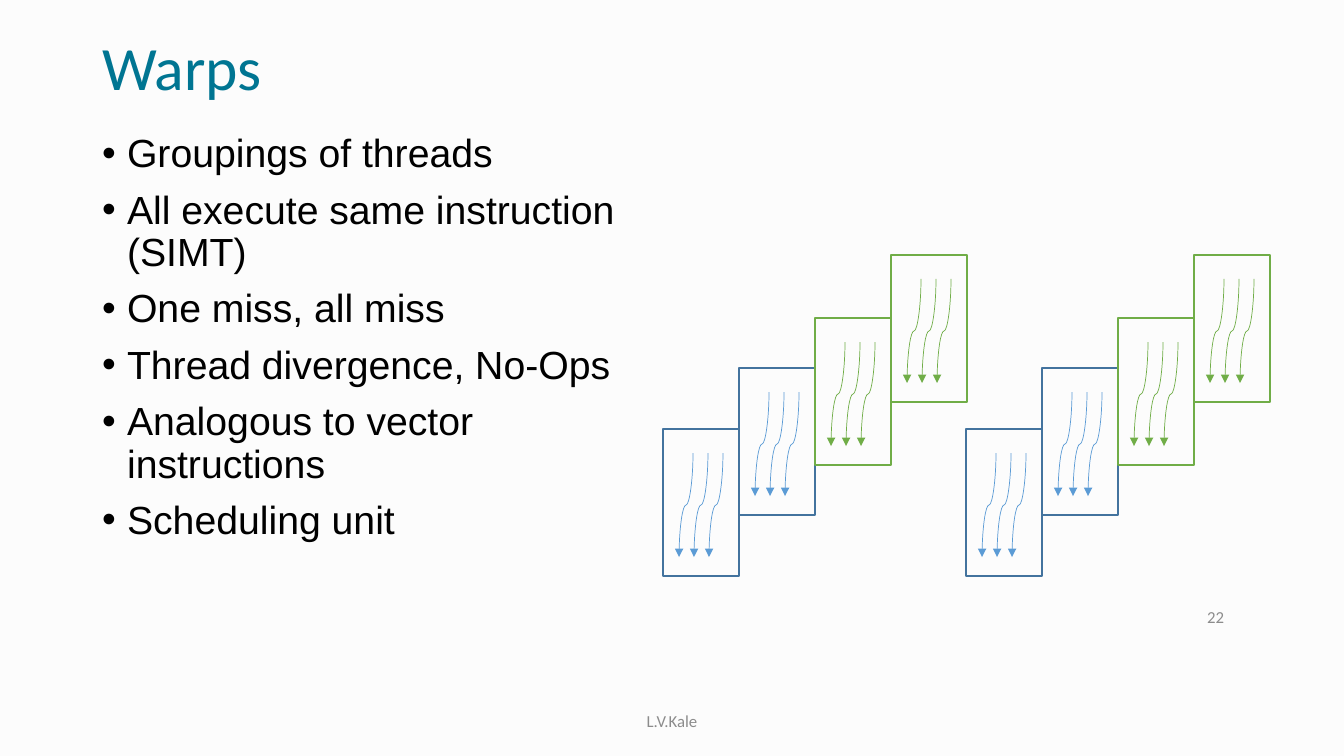
"""Build the slide on warps as groupings of threads."""
from lxml import etree
from pptx import Presentation
from pptx.dml.color import RGBColor
from pptx.enum.shapes import MSO_CONNECTOR, MSO_SHAPE
from pptx.enum.text import MSO_ANCHOR, MSO_AUTO_SIZE, PP_ALIGN
from pptx.oxml.ns import qn
from pptx.util import Pt

CURVE, RECTANGLE = MSO_CONNECTOR.CURVE, MSO_SHAPE.RECTANGLE
TOP, MIDDLE = MSO_ANCHOR.TOP, MSO_ANCHOR.MIDDLE
LEFT, CENTER, RIGHT = PP_ALIGN.LEFT, PP_ALIGN.CENTER, PP_ALIGN.RIGHT
NO_AUTOFIT = MSO_AUTO_SIZE.NONE

PAPER = RGBColor(0xFC, 0xFC, 0xFC)
TEAL = RGBColor(0x00, 0x75, 0x92)
BLACK = RGBColor(0x00, 0x00, 0x00)
GRAY = RGBColor(0x8C, 0x8C, 0x8C)
BLUE = RGBColor(0x5B, 0x9B, 0xD5)
DARK_BLUE = RGBColor(0x43, 0x73, 0x9E)
GREEN = RGBColor(0x70, 0xAD, 0x47)

TITLE = "Warps"
POINTS = [
    "Groupings of threads",
    "All execute same instruction (SIMT)",
    "One miss, all miss",
    "Thread divergence, No-Ops",
    "Analogous to vector instructions",
    "Scheduling unit",
]
AUTHOR = "L.V.Kale"
PAGE = "22"

WARPS = [
    (429, DARK_BLUE, BLUE),
    (368, DARK_BLUE, BLUE),
    (318, GREEN, GREEN),
    (255, GREEN, GREEN),
]
SET_LEFTS = (663, 966)
WARP_WIDTH, WARP_HEIGHT = 76, 147
THREAD_STARTS = (60, 45, 30)
THREAD_TOP, THREAD_LENGTH, THREAD_SWAY = 24, 104, 14

EMU_PER_PX = 914400 / 100.8
BULLET_INDENT = 25


def px(length):
    """Turn px into EMU."""
    return round(length * EMU_PER_PX)


def write(box, lines, at, size, color, font="Calibri", align=LEFT,
          anchor=MIDDLE, spacing=1.0, before=0, bullet=None):
    """Place a text shape and fill it with formatted paragraphs."""
    box.left, box.top, box.width, box.height = map(px, at)
    frame = box.text_frame
    frame.word_wrap = True
    frame.auto_size = NO_AUTOFIT
    frame.vertical_anchor = anchor
    frame.text = "\n".join(lines)
    for index, paragraph in enumerate(frame.paragraphs):
        paragraph.alignment = align
        paragraph.line_spacing = spacing
        paragraph.space_before = Pt(before if index else 0)
        if bullet:
            properties = paragraph._p.get_or_add_pPr()
            properties.set("marL", str(px(BULLET_INDENT)))
            properties.set("indent", str(-px(BULLET_INDENT)))
            etree.SubElement(properties, qn("a:buFont"), typeface="Arial")
            etree.SubElement(properties, qn("a:buChar"), char=bullet)
        paragraph.font.name = font
        paragraph.font.size = Pt(size)
        paragraph.font.color.rgb = color


def draw_thread(warp, start, top, color):
    """Draw one curved arrow running down from start."""
    left = start - (THREAD_LENGTH + THREAD_SWAY) / 2
    upper = top + (THREAD_LENGTH - THREAD_SWAY) / 2
    thread = warp.shapes.add_connector(
        CURVE, px(left), px(upper),
        px(left + THREAD_LENGTH), px(upper + THREAD_SWAY))
    thread.line.color.rgb = color
    thread.line.width = Pt(0.5)
    properties = thread._element.spPr
    properties.find(qn("a:xfrm")).set("rot", str(90 * 60000))
    etree.SubElement(properties.find(qn("a:ln")), qn("a:tailEnd"), type="triangle")
    etree.SubElement(properties, qn("a:effectLst"))


def draw_warp(slide, left, top, border, thread_color):
    """Draw one framed group of threads."""
    warp = slide.shapes.add_group_shape()
    for start in THREAD_STARTS:
        draw_thread(warp, left + start, top + THREAD_TOP, thread_color)
    frame = warp.shapes.add_shape(
        RECTANGLE, px(left), px(top), px(WARP_WIDTH), px(WARP_HEIGHT))
    frame.shadow.inherit = False
    frame.fill.background()
    frame.line.color.rgb = border
    frame.line.width = Pt(1)


def main():
    """Build and save the slide."""
    deck = Presentation()
    deck.slide_width, deck.slide_height = px(1344), px(756)
    slide = deck.slides.add_slide(deck.slide_layouts[1])
    slide.background.fill.solid()
    slide.background.fill.fore_color.rgb = PAPER

    write(slide.shapes.title, [TITLE], (92, 28, 1159, 85), 44, TEAL, spacing=0.9)
    write(slide.placeholders[1], POINTS, (92, 129, 572, 552), 28, BLACK,
          font="Arial", anchor=TOP, spacing=0.9, before=10, bullet="•")
    for line, at, align in ((AUTHOR, (445, 701, 454, 40), CENTER),
                            (PAGE, (932, 597, 302, 40), RIGHT)):
        write(slide.shapes.add_textbox(0, 0, 0, 0), [line], at, 12, GRAY, align=align)

    for set_left in SET_LEFTS:
        for column, (top, border, thread_color) in enumerate(WARPS):
            draw_warp(slide, set_left + column * WARP_WIDTH, top, border, thread_color)

    deck.save("out.pptx")


if __name__ == "__main__":
    main()
